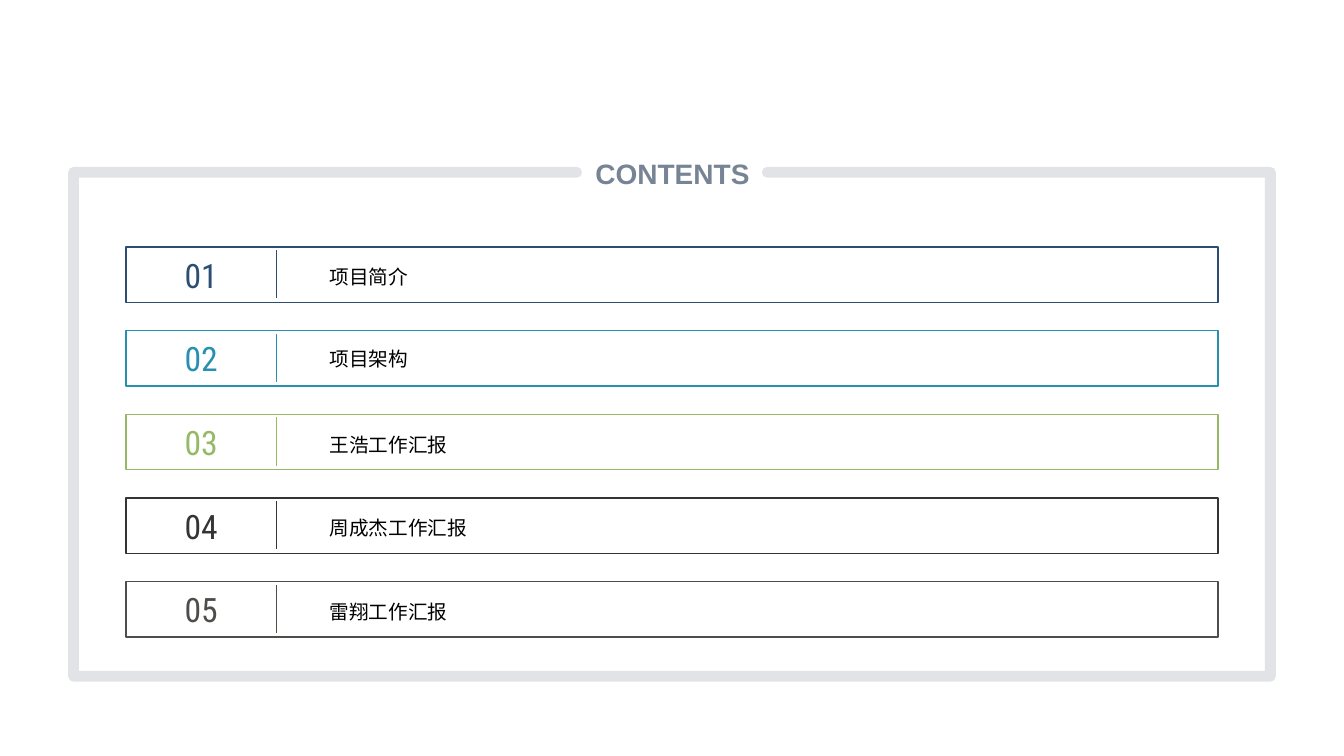
from pptx import Presentation
from pptx.dml.color import RGBColor
from pptx.enum.shapes import MSO_CONNECTOR, MSO_SHAPE
from pptx.enum.text import MSO_ANCHOR, MSO_AUTO_SIZE, PP_ALIGN
from pptx.oxml.ns import qn
from pptx.util import Inches, Pt
from lxml import etree

RECTANGLE = MSO_SHAPE.RECTANGLE
STRAIGHT = MSO_CONNECTOR.STRAIGHT
MIDDLE = MSO_ANCHOR.MIDDLE
NO_AUTOFIT = MSO_AUTO_SIZE.NONE
LEFT, CENTER = PP_ALIGN.LEFT, PP_ALIGN.CENTER

SLATE = RGBColor(0x77, 0x84, 0x95)
BLACK = RGBColor(0x00, 0x00, 0x00)
NAVY = RGBColor(0x2B, 0x4E, 0x72)
TEAL = RGBColor(0x27, 0x90, 0xB0)
GREEN = RGBColor(0x94, 0xBA, 0x65)
CHARCOAL = RGBColor(0x35, 0x34, 0x32)
GRAY = RGBColor(0x4E, 0x4D, 0x4A)

TITLE_FONT = {"name": "Arial", "size": Pt(20), "bold": True}
NUMBER_FONT = {"name": "Roboto Condensed", "size": Pt(24)}
TOPIC_FONT = {"name": "Arial", "size": Pt(14)}

TOPICS = [
    ("项目简介", NAVY, 1.2),
    ("项目架构", TEAL, 1.0),
    ("王浩工作汇报", GREEN, 1.2),
    ("周成杰工作汇报", CHARCOAL, 1.2),
    ("雷翔工作汇报", GRAY, 1.2),
]
ROW_LEFT, ROW_TOP, ROW_WIDTH, ROW_HEIGHT = 1.25, 2.45, 10.83, 0.55
ROW_STEP = 0.83
DIVIDER_X, TOPIC_LEFT = 2.74, 3.17
DIVIDER_INSET, DIVIDER_HEIGHT = 0.03, 0.48
FRAME_POINTS = [(7.61, 1.71), (12.6, 1.71), (12.6, 6.71),
                (0.73, 6.71), (0.73, 1.71), (5.72, 1.71)]


def write_text(sp, text, font, color, align, spacing=None):
    tf = sp.text_frame
    frame_format = {"word_wrap": True, "auto_size": NO_AUTOFIT,
                    "vertical_anchor": MIDDLE}
    for name, value in frame_format.items():
        setattr(tf, name, value)
    p = tf.paragraphs[0]
    p.alignment = align
    p.line_spacing = spacing
    r = p.add_run()
    r.text = text
    for name, value in font.items():
        setattr(r.font, name, value)
    r.font.color.rgb = color


def add_title(s):
    sp = s.shapes.title
    box = {"left": 5.81, "top": 1.38, "width": 1.72, "height": 0.67}
    for name, value in box.items():
        setattr(sp, name, Inches(value))
    for side in ("left", "top", "right", "bottom"):
        setattr(sp.text_frame, f"margin_{side}", 0)
    write_text(sp, "CONTENTS", TITLE_FONT, SLATE, CENTER)


def add_frame(s):
    start, *rest = [(Inches(x), Inches(y)) for x, y in FRAME_POINTS]
    builder = s.shapes.build_freeform(*start)
    builder.add_line_segments(rest, close=False)
    sp = builder.convert_to_shape()
    sp.shadow.inherit = False
    sp.fill.background()
    sp.line.color.rgb = SLATE
    sp.line.width = Pt(7.75)
    ln = sp.line._get_or_add_ln()
    ln.set("cap", "rnd")
    etree.SubElement(ln, qn("a:round"))
    alpha = etree.SubElement(ln.find(".//" + qn("a:srgbClr")), qn("a:alpha"))
    alpha.set("val", "21000")


def add_box(s, top, color):
    sp = s.shapes.add_shape(RECTANGLE, Inches(ROW_LEFT), Inches(top),
                            Inches(ROW_WIDTH), Inches(ROW_HEIGHT))
    sp.shadow.inherit = False
    sp.fill.background()
    sp.line.color.rgb = color
    sp.line.width = Pt(1)


def add_divider(s, top, color):
    x, y = Inches(DIVIDER_X), top + DIVIDER_INSET
    line = s.shapes.add_connector(STRAIGHT, x, Inches(y),
                                  x, Inches(y + DIVIDER_HEIGHT))
    line.line.color.rgb = color
    line.line.width = Pt(1)
    etree.SubElement(line._element.spPr, qn("a:effectLst"))


def add_label(s, left, right, top, *text_format):
    sp = s.shapes.add_textbox(Inches(left), Inches(top),
                              Inches(right - left), Inches(ROW_HEIGHT))
    write_text(sp, *text_format)


def add_row(s, index, topic, color, spacing):
    top = ROW_TOP + index * ROW_STEP
    add_box(s, top, color)
    add_label(s, ROW_LEFT, DIVIDER_X, top,
              f"{index + 1:02d}", NUMBER_FONT, color, CENTER)
    add_divider(s, top, color)
    add_label(s, TOPIC_LEFT, ROW_LEFT + ROW_WIDTH, top,
              topic, TOPIC_FONT, BLACK, LEFT, spacing)


def main():
    prs = Presentation()
    prs.slide_width = Inches(13.33)
    prs.slide_height = Inches(7.5)
    s = prs.slides.add_slide(prs.slide_layouts[5])
    add_title(s)
    add_frame(s)
    for index, (topic, color, spacing) in enumerate(TOPICS):
        add_row(s, index, topic, color, spacing)
    prs.save("out.pptx")


if __name__ == "__main__":
    main()
